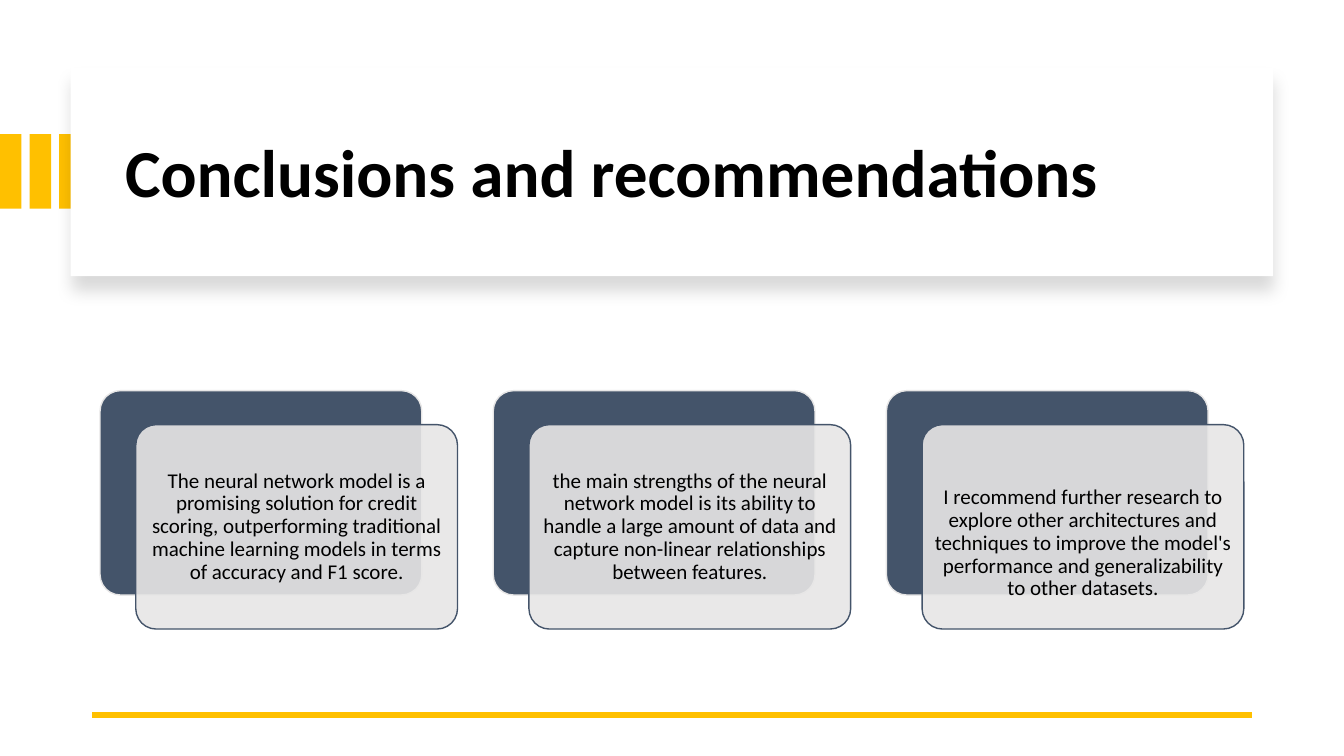
from lxml import etree
from pptx import Presentation
from pptx.dml.color import RGBColor
from pptx.enum.shapes import MSO_CONNECTOR, MSO_SHAPE
from pptx.enum.text import MSO_ANCHOR, MSO_AUTO_SIZE, PP_ALIGN
from pptx.oxml.ns import qn
from pptx.util import Pt

RECT, ROUND = MSO_SHAPE.RECTANGLE, MSO_SHAPE.ROUNDED_RECTANGLE
LINE = MSO_CONNECTOR.STRAIGHT
MIDDLE, NO_FIT = MSO_ANCHOR.MIDDLE, MSO_AUTO_SIZE.NONE
LEFT, CENTER = PP_ALIGN.LEFT, PP_ALIGN.CENTER
FONT = "Calibri"
COLORS = {"gold": "FFC000", "white": "FFFFFF", "black": "000000",
          "slate": "44546A", "pale": "E7E6E6"}
CARDS = [
    ("The neural network model is a promising solution for credit scoring, outperforming "
     "traditional machine learning models in terms of accuracy and F1 score.", 0),
    ("the main strengths of the neural network model is its ability to handle a large amount "
     "of data and capture non-linear relationships between features.", 0),
    ("I recommend further research to explore other architectures and techniques to improve "
     "the model's performance and generalizability to other datasets.", 24),
]


def color(name):
    """Return the named colour."""
    return RGBColor.from_string(COLORS[name])


def add_box(shapes, kind, box, fill, line=None):
    """Add a filled shape with an optional outline."""
    shape = shapes.add_shape(kind, *map(Pt, box))
    shape.shadow.inherit = False
    shape.fill.solid()
    shape.fill.fore_color.rgb = color(fill)
    if line:
        shape.line.color.rgb = color(line)
        shape.line.width = Pt(1)
    else:
        shape.line.fill.background()
    return shape


def add_alpha(clr, share):
    """Set the opacity of a colour element in percent."""
    etree.SubElement(clr, qn("a:alpha"), val=str(share * 1000))


def add_shade(shape):
    """Give a shape a soft shadow below."""
    glow = shape.element.spPr.find(qn("a:effectLst"))
    outer = etree.SubElement(glow, qn("a:outerShdw"), blurRad=str(Pt(11)),
                             dist=str(Pt(10)), dir="5400000", algn="t", rotWithShape="0")
    add_alpha(etree.SubElement(outer, qn("a:srgbClr"), val=COLORS["black"]), 15)


def write(frame, text, size, align, bold=False):
    """Fill a text frame with one paragraph."""
    frame.word_wrap = True
    frame.auto_size = NO_FIT
    frame.vertical_anchor = MIDDLE
    para = frame.paragraphs[0]
    para.alignment = align
    para.line_spacing = 0.9
    run = para.add_run()
    run.text = text
    run.font.name, run.font.size, run.font.bold = FONT, Pt(size), bold
    run.font.color.rgb = color("black")


def add_bars(slide, box, count=3, gap=5.8):
    """Draw the row of accent bars."""
    x, y, w, h = box
    bar = (w - gap * (count - 1)) / count
    group = slide.shapes.add_group_shape()
    for i in range(count):
        add_box(group.shapes, RECT, (x + i * (bar + gap), y, bar, h), "gold")


def add_head(slide, box):
    """Draw the raised panel and set the title on it."""
    x, y, w, h = box
    panel = add_box(slide.shapes, RECT, box, "white")
    add_shade(panel)
    title = slide.shapes.title
    title.left, title.top = Pt(x + 31.6), Pt(y + 15.6)
    title.width, title.height = Pt(w - 57.6), Pt(h - 26.6)
    panel.element.addnext(title.element)
    write(title.text_frame, "Conclusions and recommendations", 48, LEFT, True)


def add_card(shapes, box, text, drop):
    """Draw two overlapping cards with text on the front one."""
    x, y, w, h = box
    dx, dy, pad = 25.5, 24.3, 4.3
    wide, high = w - dx, h - dy
    back = add_box(shapes, ROUND, (x, y, wide, high), "slate", "pale")
    front = add_box(shapes, ROUND, (x + dx, y + dy, wide, high), "pale", "slate")
    back.adjustments[0] = front.adjustments[0] = 0.1
    add_alpha(front.element.spPr.find(qn("a:solidFill"))[0], 90)
    area = (x + dx + pad, y + dy + pad, wide - 2 * pad, high - 2 * pad)
    frame = shapes.add_textbox(*map(Pt, area)).text_frame
    frame.margin_left = frame.margin_right = frame.margin_bottom = Pt(pad)
    frame.margin_top = Pt(pad + drop)
    write(frame, text, 15, CENTER)


def add_cards(slide, box, gap=25.5):
    """Place the cards side by side at equal gaps."""
    x, y, w, h = box
    wide = (w - gap * (len(CARDS) - 1)) / len(CARDS)
    group = slide.shapes.add_group_shape()
    for i, (text, drop) in enumerate(CARDS):
        add_card(group.shapes, (x + i * (wide + gap), y, wide, h), text, drop)


def add_rule(slide, box):
    """Draw the gold rule from right to left."""
    x, y, w, h = box
    rule = slide.shapes.add_connector(LINE, Pt(x + w), Pt(y), Pt(x), Pt(y + h))
    rule.line.color.rgb = color("gold")
    rule.line.width = Pt(4.5)
    etree.SubElement(rule.element.spPr, qn("a:effectLst"))


def main():
    """Build and save the slide."""
    deck = Presentation()
    deck.slide_width, deck.slide_height = Pt(960), Pt(540)
    slide = deck.slides.add_slide(deck.slide_layouts[5])
    add_bars(slide, (0, 95.8, 57.6, 53.3))
    add_head(slide, (50.5, 48.4, 859, 149))
    add_rule(slide, (66, 510.6, 828.3, 0))
    add_cards(slide, (71.5, 279, 817, 170.3))
    deck.save("out.pptx")


if __name__ == "__main__":
    main()
